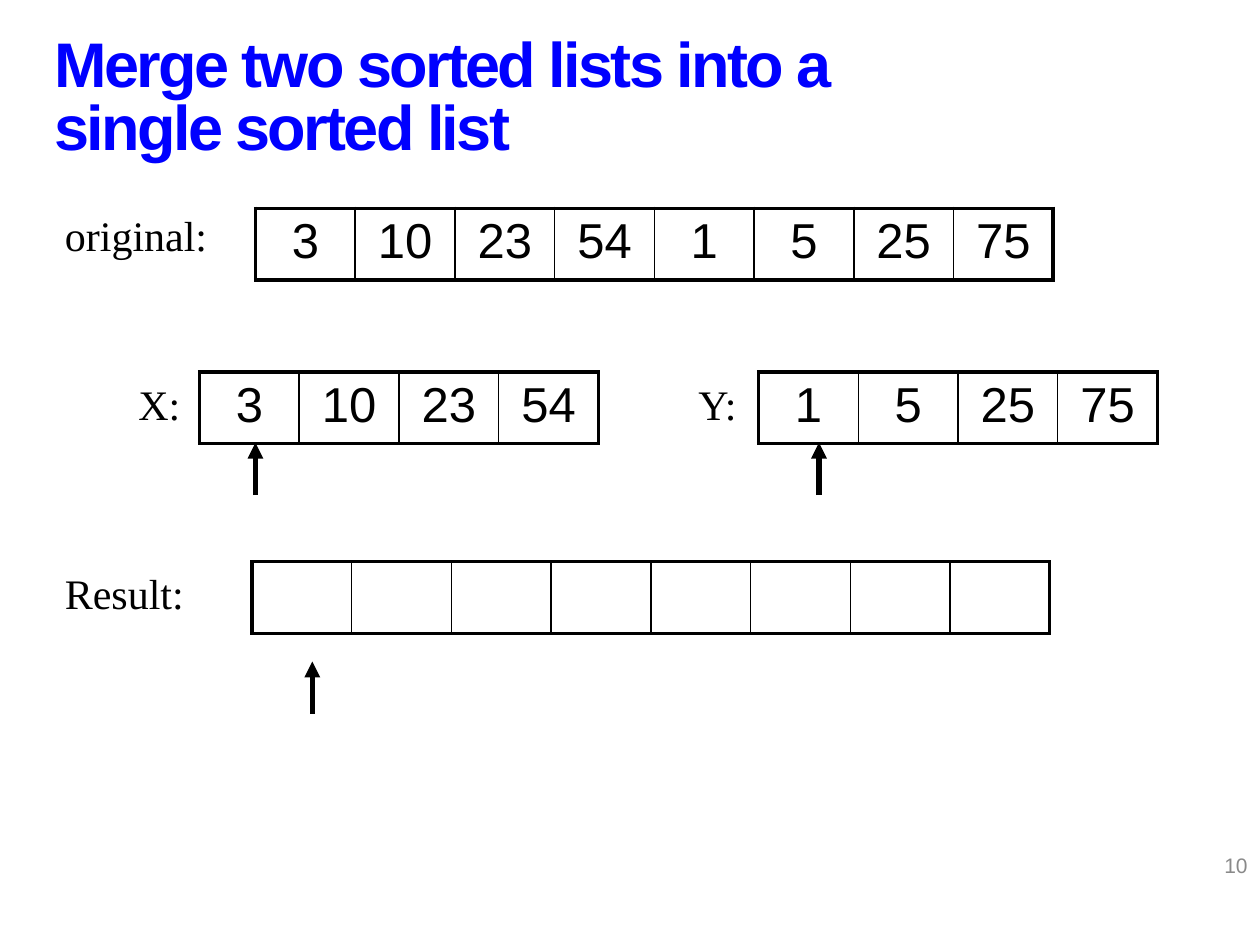
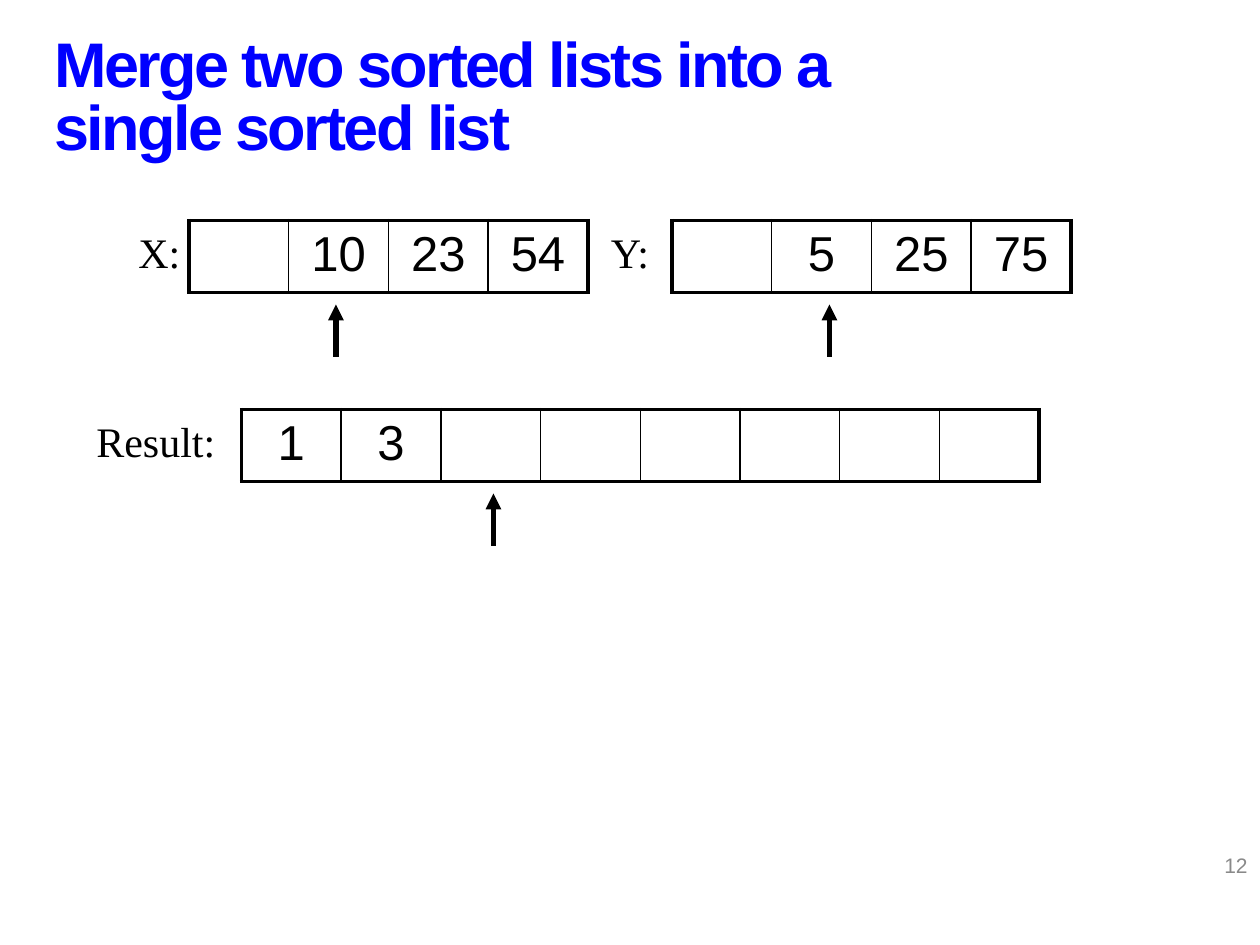
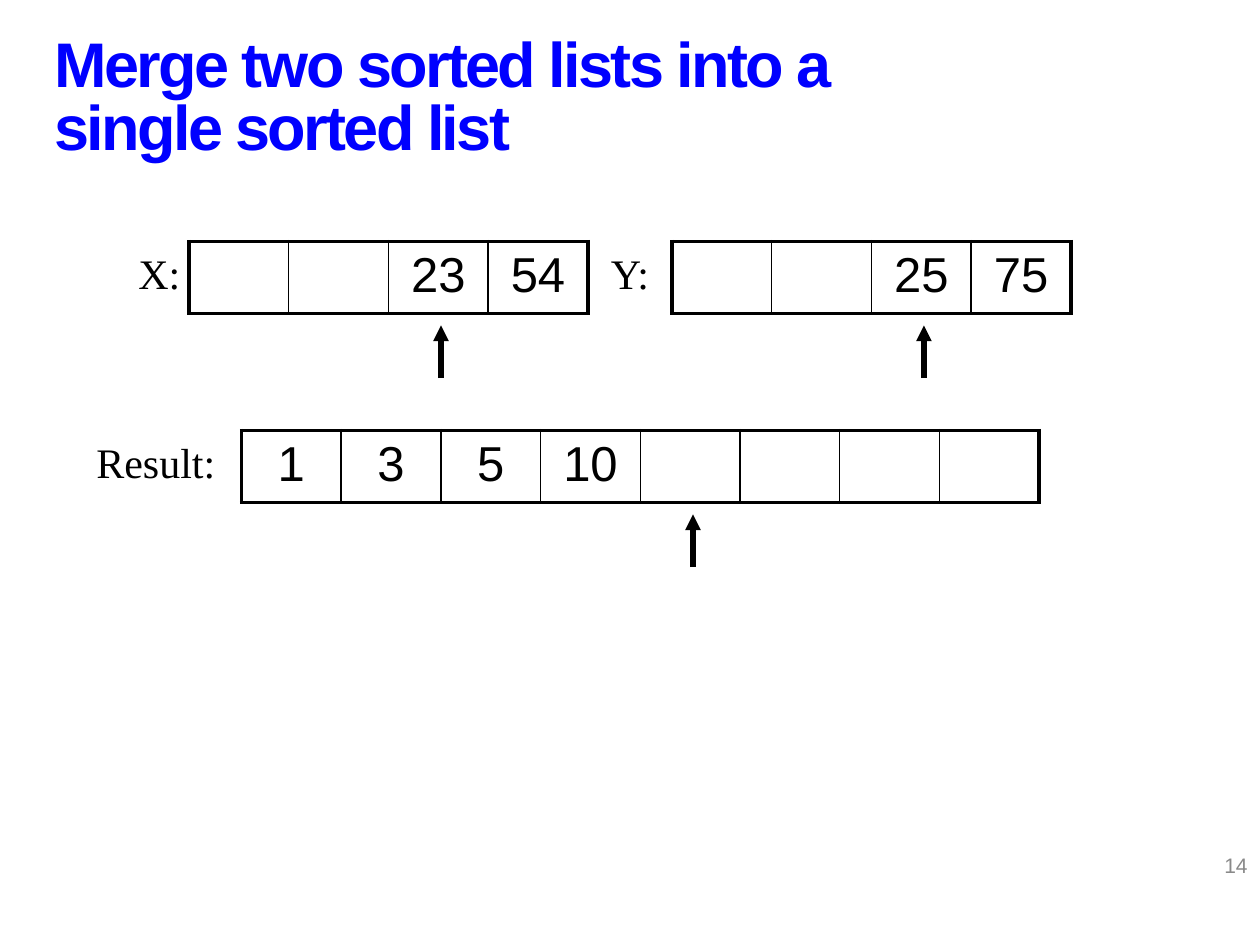
from dataclasses import dataclass
from lxml.etree import SubElement
from pptx import Presentation
from pptx.dml.color import RGBColor
from pptx.enum.shapes import MSO_CONNECTOR
from pptx.enum.text import MSO_ANCHOR, PP_ALIGN
from pptx.oxml import parse_xml
from pptx.oxml.ns import nsdecls, qn
from pptx.util import Pt


@dataclass(frozen=True)
class Theme:
    ink = RGBColor(0, 0, 0)
    title = {"name": "Arial", "size": Pt(36), "bold": True}
    title_color = RGBColor(0, 0, 255)
    number = {"name": "Arial", "size": Pt(12)}
    number_color = RGBColor(137, 137, 137)
    label = {"name": "Times New Roman", "size": Pt(24)}
    value = {"name": "Arial", "size": Pt(28)}
    outer_border = Pt(2.25)
    inner_border = Pt(1)
    arrow_line = Pt(3)


def write(tf, text, font, color, **paragraph):
    p = tf.paragraphs[0]
    for name, value in paragraph.items():
        setattr(p, name, value)
    r = p.add_run()
    r.text = text
    for name, value in font.items():
        setattr(r.font, name, value)
    r.font.color.rgb = color
    return r


def add_text(s, box, text, font, color, anchor=MSO_ANCHOR.TOP, **paragraph):
    tf = s.shapes.add_textbox(*map(Pt, box)).text_frame
    tf.word_wrap = True
    tf.vertical_anchor = anchor
    return write(tf, text, font, color, **paragraph)


theme = Theme()
TITLE = "Merge two sorted lists into a single sorted list"
CELL_W, CELL_H = 57, 41
ARROW_H = 30

slides = [
    {
        "number": "10",
        "lists": [
            ("X:", 72, 212.5, 114, 212.5, [3, 10, 23, 54]),
            ("Y:", 392, 212.5, 433.5, 212.5, [1, 5, 25, 75]),
            ("Result:", 30, 321, 144, 321, [""] * 8),
            ("original:", 30, 116, 146, 119, [3, 10, 23, 54, 1, 5, 25, 75]),
        ],
        "arrows": [(146, 253), (468, 253), (178.5, 378)],
    },
    {
        "number": "12",
        "lists": [
            ("X:", 72, 126, 108, 126, ["", 10, 23, 54]),
            ("Y:", 342, 126, 384, 126, ["", 5, 25, 75]),
            ("Result:", 48, 234, 138, 234, [1, 3] + [""] * 6),
        ],
        "arrows": [(192, 174), (474, 174), (282, 282)],
    },
    {
        "number": "14",
        "lists": [
            ("X:", 72, 138, 108, 138, ["", "", 23, 54]),
            ("Y:", 342, 138, 384, 138, ["", "", 25, 75]),
            ("Result:", 48, 246, 138, 246, [1, 3, 5, 10] + [""] * 4),
        ],
        "arrows": [(252, 186), (528, 186), (396, 294)],
    },
]

prs = Presentation()
prs.slide_width, prs.slide_height = Pt(720), Pt(540)

for slide in slides:
    s = prs.slides.add_slide(prs.slide_layouts[6])
    r = add_text(s, (24, 12, 498, 90), TITLE, theme.title, theme.title_color,
                 MSO_ANCHOR.MIDDLE, line_spacing=Pt(36))
    r.font._element.set("spc", "-150")
    add_text(s, (552, 480, 168, 29), slide["number"], theme.number,
             theme.number_color, MSO_ANCHOR.MIDDLE, alignment=PP_ALIGN.RIGHT)

    for label, label_x, label_y, x, y, values in slide["lists"]:
        label_w = 42 if len(label) == 2 else 96
        add_text(s, (label_x, label_y, label_w, 36), label, theme.label, theme.ink)
        count = len(values)
        table = s.shapes.add_table(
            1, count, Pt(x), Pt(y), Pt(CELL_W * count), Pt(CELL_H)).table
        table.first_row = table.horz_banding = False
        for i, value in enumerate(values):
            cell = table.cell(0, i)
            cell.fill.background()
            if value != "":
                write(cell.text_frame, str(value), theme.value, theme.ink,
                      alignment=PP_ALIGN.CENTER)
            borders = {
                "lnL": theme.outer_border if i == 0 else theme.inner_border,
                "lnR": theme.outer_border if i == count - 1 else theme.inner_border,
                "lnT": theme.outer_border,
                "lnB": theme.outer_border,
            }
            tcPr = cell._tc.get_or_add_tcPr()
            for k, (side, width) in enumerate(borders.items()):
                tcPr.insert(k, parse_xml(
                    f'<a:{side} {nsdecls("a")} w="{int(width)}"><a:solidFill>'
                    f'<a:srgbClr val="{theme.ink}"/></a:solidFill></a:{side}>'))

    for x, top in slide["arrows"]:
        arrow = s.shapes.add_connector(
            MSO_CONNECTOR.STRAIGHT, Pt(x), Pt(top + ARROW_H), Pt(x), Pt(top))
        arrow.line.color.rgb = theme.ink
        arrow.line.width = theme.arrow_line
        SubElement(arrow.line._get_or_add_ln(), qn("a:tailEnd"), type="triangle")
        SubElement(arrow._element.spPr, qn("a:effectLst"))

prs.save("out.pptx")
